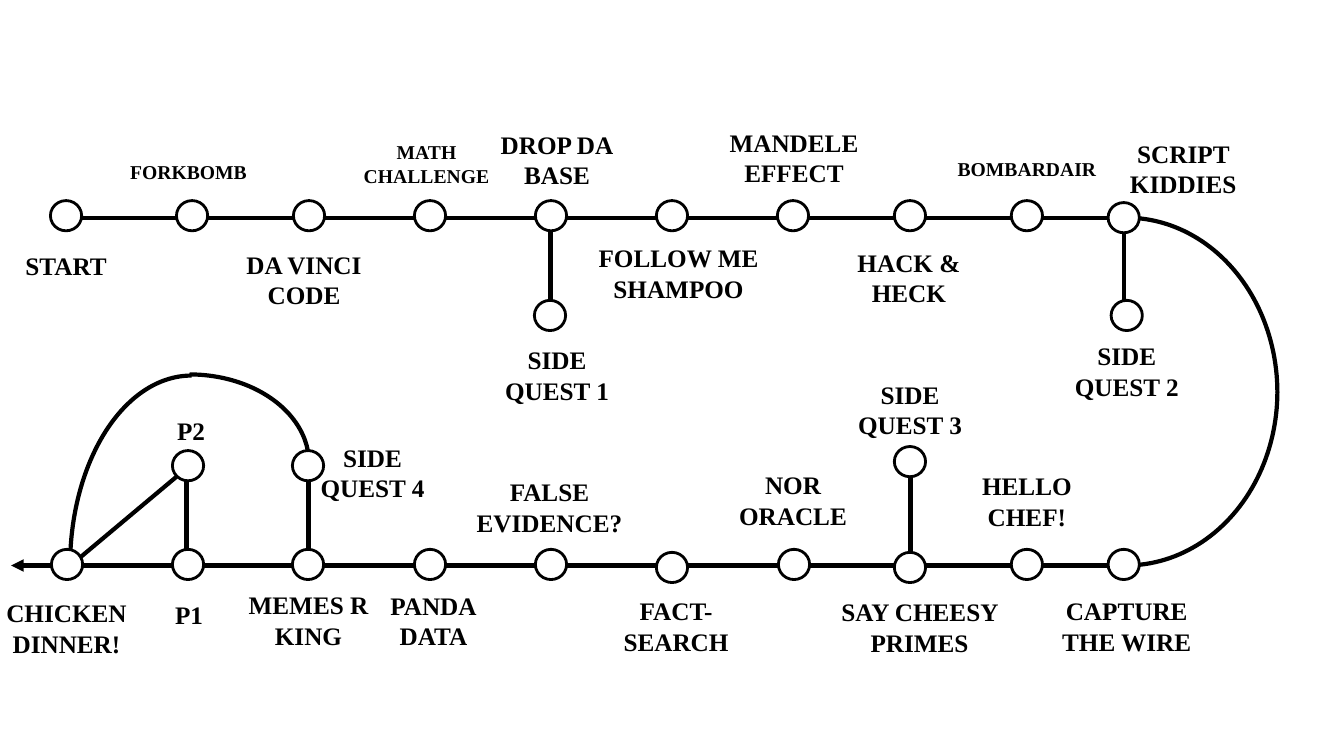
from lxml import etree
from pptx import Presentation
from pptx.dml.color import RGBColor
from pptx.enum.shapes import MSO_CONNECTOR, MSO_SHAPE
from pptx.enum.text import MSO_AUTO_SIZE, PP_ALIGN
from pptx.oxml.ns import qn
from pptx.util import Inches, Pt

COLORS = {"ink": "000000", "fill": "FFFFFF"}
FONT = "Times New Roman"
STOP_W, STOP_H = 0.31, 0.3

# Tracks: start x, y, end x, y
TRACKS = [
    (0.61, 2.16, 11.3, 2.16),
    (5.46, 3.06, 5.46, 2.2),
    (11.15, 3.02, 11.15, 2.16),
    (9.03, 5.59, 9.03, 4.73),
    (3.06, 5.63, 3.06, 4.78),
    (1.85, 5.61, 1.85, 4.75),
    (0.7, 5.61, 1.75, 4.73),
]
EXIT = (11.17, 5.61, 0.11, 5.61)

# Bends: left, top, width, height, rotation, flipped
BENDS = [
    (9.67, 2.16, 3, 3.47, 0, False),
    (9.67, 2.16, 3, 3.45, 0, True),
    (1, 3.41, 1.76, 2.37, 270, True),
    (0.01, 4.41, 3.78, 2.41, 270, False),
]

# Stops: row top -> lefts
STOPS = {
    1.99: [0.5, 1.75, 2.91, 4.11, 5.31, 6.51, 7.71, 8.87, 10.03],
    2.01: [10.99],
    2.98: [5.3, 11.02],
    4.43: [8.87],
    4.47: [1.71, 2.9],
    5.45: [0.51, 1.71, 2.9, 4.11, 5.31, 7.72, 10.03, 10.99],
    5.48: [6.51, 8.87],
}

# Labels: text, left, top, width
LARGE = [
    ("START", 0.13, 2.43, 1.05),
    ("DA VINCI CODE", 2.34, 2.42, 1.35),
    ("DROP DA\nBASE", 4.85, 1.23, 1.35),
    ("FOLLOW ME SHAMPOO", 5.77, 2.36, 1.92),
    ("MANDELE\nEFFECT", 7.1, 1.21, 1.55),
    ("HACK &\nHECK", 8.24, 2.4, 1.55),
    ("SCRIPT KIDDIES", 10.96, 1.32, 1.55),
    ("SIDE QUEST 1", 4.85, 3.37, 1.35),
    ("SIDE QUEST 2", 10.4, 3.33, 1.55),
    ("SIDE QUEST 3", 8.25, 3.71, 1.55),
    ("SIDE QUEST 4", 3.02, 4.34, 1.35),
    ("CAPTURE THE WIRE", 10.4, 5.86, 1.55),
    ("HELLO CHEF!", 9.41, 4.62, 1.55),
    ("SAY CHEESY PRIMES", 8.23, 5.87, 1.78),
    ("NOR ORACLE", 7.19, 4.61, 1.35),
    ("FACT-SEARCH", 6.03, 5.86, 1.35),
    ("FALSE\nEVIDENCE?", 4.56, 4.68, 1.78),
    ("PANDA\nDATA", 3.41, 5.81, 1.78),
    ("MEMES R KING", 2.17, 5.8, 1.78),
    ("P1", 1.1, 5.9, 1.55),
    ("P2", 1.12, 4.07, 1.55),
    ("CHICKEN DINNER!", -0.12, 5.88, 1.56),
]
SMALL = [
    ("FORKBOMB", 1.15, 1.54, 1.44),
    ("MATH\nCHALLENGE", 3.49, 1.34, 1.48),
    ("BOMBARDAIR", 9.24, 1.51, 1.89),
]


def color(name):
    return RGBColor.from_string(COLORS[name])


def stroke(shape, width):
    shape.line.color.rgb = color("ink")
    shape.line.width = Pt(width)


def add_track(slide, x1, y1, x2, y2, arrow=False):
    track = slide.shapes.add_connector(
        MSO_CONNECTOR.STRAIGHT, Inches(x1), Inches(y1), Inches(x2), Inches(y2))
    stroke(track, 3)
    if arrow:
        ln = track.line._get_or_add_ln()
        etree.SubElement(ln, qn("a:tailEnd"), type="triangle")
    etree.SubElement(track._element.spPr, qn("a:effectLst"))


def add_form(slide, kind, x, y, w, h, width):
    form = slide.shapes.add_shape(
        kind, Inches(x), Inches(y), Inches(w), Inches(h))
    form.shadow.inherit = False
    stroke(form, width)
    return form


def add_bend(slide, x, y, w, h, turn, flip):
    bend = add_form(slide, MSO_SHAPE.ARC, x, y, w, h, 3)
    bend.fill.background()
    bend.rotation = turn
    if flip:
        bend._element.spPr.xfrm.set("flipV", "1")


def add_stop(slide, x, y):
    stop = add_form(slide, MSO_SHAPE.OVAL, x, y, STOP_W, STOP_H, 2)
    stop.fill.solid()
    stop.fill.fore_color.rgb = color("fill")


def add_label(slide, text, x, y, w, size):
    # Every label longer than one plain word takes two lines
    lines = 1 if text.isalnum() else 2
    h = 0.1 + lines * size * 1.2 / 72
    box = slide.shapes.add_textbox(Inches(x), Inches(y), Inches(w), Inches(h))
    frame = box.text_frame
    frame.word_wrap = True
    frame.auto_size = MSO_AUTO_SIZE.SHAPE_TO_FIT_TEXT
    frame.text = text
    for para in frame.paragraphs:
        para.alignment = PP_ALIGN.CENTER
        font = para.font
        font.name = FONT
        font.size = Pt(size)
        font.bold = True
        font.color.rgb = color("ink")


def main():
    deck = Presentation()
    deck.slide_width, deck.slide_height = Inches(13.33), Inches(7.5)
    slide = deck.slides.add_slide(deck.slide_layouts[6])

    # Route
    for track in TRACKS:
        add_track(slide, *track)
    add_track(slide, *EXIT, arrow=True)
    for bend in BENDS:
        add_bend(slide, *bend)

    # Stops on top of the route
    for y, lefts in STOPS.items():
        for x in lefts:
            add_stop(slide, x, y)

    # Names
    for size, group in ((18, LARGE), (14, SMALL)):
        for label in group:
            add_label(slide, *label, size)

    deck.save("out.pptx")


if __name__ == "__main__":
    main()
